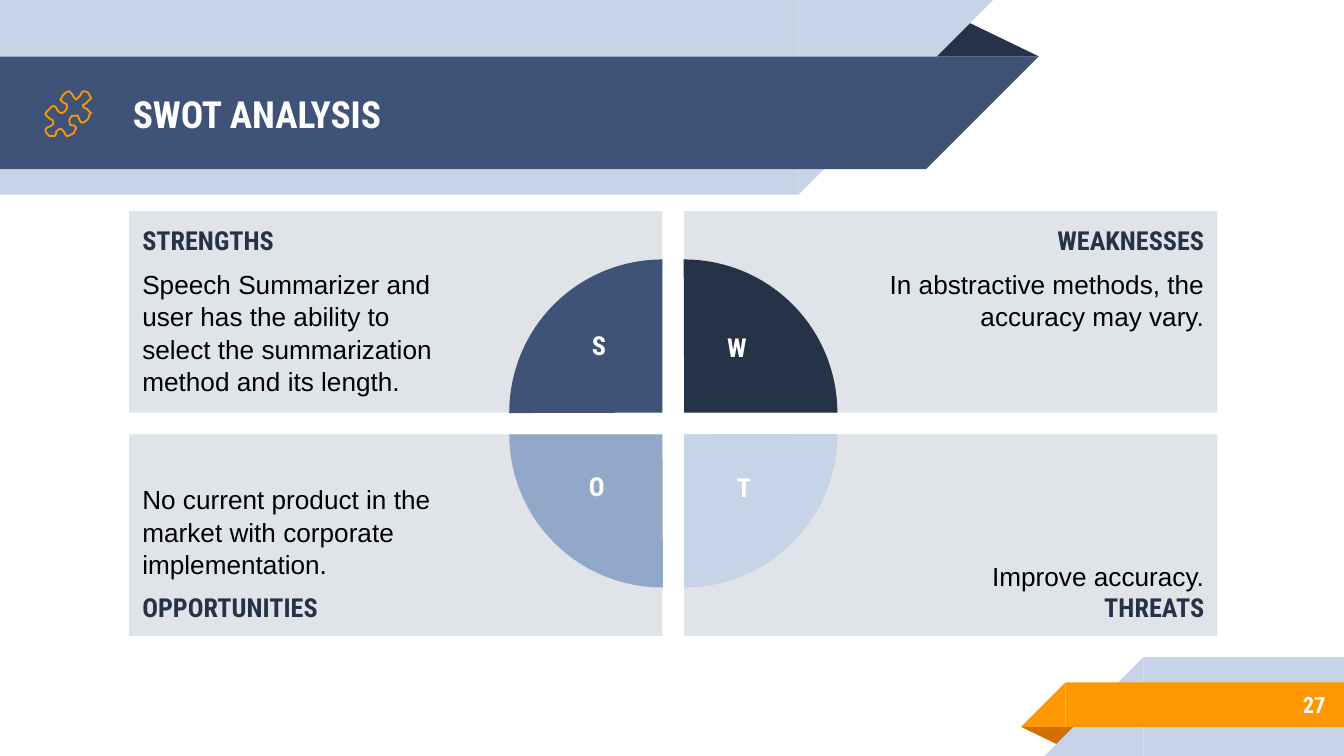
import pptx
import pptx.dml.color
import pptx.enum.shapes
import pptx.enum.text
import pptx.util

Cm = pptx.util.Cm
Pt = pptx.util.Pt
RGBColor = pptx.dml.color.RGBColor
Kind = pptx.enum.shapes.MSO_SHAPE
Align = pptx.enum.text.PP_ALIGN
Anchor = pptx.enum.text.MSO_ANCHOR

WHITE = RGBColor(0xFF, 0xFF, 0xFF)
BLACK = RGBColor(0x00, 0x00, 0x00)
NAVY = RGBColor(0x26, 0x32, 0x48)
BLUE = RGBColor(0x3F, 0x53, 0x78)
STEEL = RGBColor(0x92, 0xA8, 0xC8)
PALE = RGBColor(0xC7, 0xD3, 0xE6)
GREY = RGBColor(0xE0, 0xE4, 0xE9)
ORANGE = RGBColor(0xFF, 0x98, 0x00)
RUST = RGBColor(0xD2, 0x6F, 0x00)

HEAD = "Roboto Condensed"
BODY = "Arial"
PAD = 0.25

PUZZLE = [
    (30, 9), (32, 7), (34, 5), (33, 3), (32, 1), (30, 0), (28, 0), (27, 1),
    (26, 3), (25, 4), (24, 5), (23, 6), (22, 5), (21, 4), (20, 2), (19, 1),
    (18, 0), (17, 0), (15, 1), (13, 3), (12, 5), (11, 6), (12, 7), (13, 8),
    (15, 9), (16, 10), (16, 12), (15, 14), (14, 15), (12, 16), (10, 15),
    (9, 14), (8, 12), (7, 11), (5, 11), (3, 13), (1, 15), (0, 17), (1, 18),
    (3, 20), (5, 21), (6, 23), (5, 25), (3, 26), (1, 27), (0, 29), (1, 31),
    (2, 32), (3, 33), (5, 33), (7, 33), (8, 31), (8, 30), (10, 28), (12, 28),
    (13, 29), (14, 30), (15, 32), (16, 33), (17, 33), (19, 32), (21, 31),
    (22, 29), (23, 27), (22, 26), (21, 25), (19, 25), (18, 23), (18, 21),
    (19, 19), (20, 18), (22, 18), (24, 18), (25, 20), (26, 22), (27, 23),
    (28, 23), (30, 22), (32, 20), (33, 17), (34, 16), (33, 15), (31, 13),
    (29, 12), (28, 10),
]


def add_form(page, kind, box, tint, turn=0, flip=False):
    form = page.shapes.add_shape(kind, *map(Cm, box))
    form.shadow.inherit = False
    form.fill.solid()
    form.fill.fore_color.rgb = tint
    form.line.fill.background()
    form.rotation = turn
    if flip:
        form.element.spPr.xfrm.set("flipH", "1")
    return form


def set_frame(form, pads, anchor):
    frame = form.text_frame
    frame.word_wrap = True
    frame.margin_left, frame.margin_top, frame.margin_right, frame.margin_bottom = map(Cm, pads)
    frame.vertical_anchor = anchor
    return frame


def set_text(para, text, size, tint, align, face=HEAD, bold=True):
    para.add_run().text = text
    para.alignment = align
    para.font.name = face
    para.font.size = Pt(size)
    para.font.bold = bold
    para.font.color.rgb = tint


def add_label(page, box, text, size, align, pads=(PAD,) * 4, anchor=Anchor.MIDDLE):
    label = page.shapes.add_textbox(*map(Cm, box))
    set_text(set_frame(label, pads, anchor).paragraphs[0], text, size, WHITE, align)


def add_band(page, box, tint, lower=False):
    x, y, w, h = box
    add_form(page, Kind.RECTANGLE, (x + h if lower else x, y, w - h, h), tint)
    tip = (x if lower else x + w - h, y, h, h)
    add_form(page, Kind.RIGHT_TRIANGLE, tip, tint, 0 if lower else 180, True)


def add_fold(page, box, tint, turn=0):
    fold = add_form(page, Kind.ISOSCELES_TRIANGLE, box, tint, turn)
    fold.adjustments[0] = 0.32


def add_icon(page, box):
    x, y, w, h = box
    steps = 4
    curve = []
    for i, b in enumerate(PUZZLE):
        a, c, d = PUZZLE[i - 1], PUZZLE[(i + 1) % len(PUZZLE)], PUZZLE[(i + 2) % len(PUZZLE)]
        for t in (n / steps for n in range(steps)):
            px, py = (
                (2 * q + (r - p) * t + (2 * p - 5 * q + 4 * r - s) * t**2
                 + (3 * q - p - 3 * r + s) * t**3) / 2
                for p, q, r, s in zip(a, b, c, d)
            )
            curve.append((Cm(x + px * w / 34), Cm(y + py * h / 33)))
    pen = page.shapes.build_freeform(*curve[0])
    pen.add_line_segments(curve[1:], close=True)
    icon = pen.convert_to_shape()
    icon.shadow.inherit = False
    icon.fill.background()
    icon.line.color.rgb = ORANGE
    icon.line.width = Pt(0.96)


def add_header(page, box):
    x, y, w, h = box
    add_fold(page, (x + 17.48, y + 0.36, 2.16, 0.71), NAVY)
    add_band(page, (x, y, w - 0.86, h), PALE)
    add_band(page, (x, y + 1.07, w, 2.13), BLUE)
    add_label(page, (x + 2.26, y + 1.09, 14.6, 2.13), "SWOT ANALYSIS", 20, Align.LEFT)
    add_icon(page, (x + 0.86, y + 1.73, 0.86, 0.84))


def add_footer(page, box):
    x, y, w, h = box
    add_fold(page, (x, y + 1.32, 1.09, 0.36), RUST, 180)
    add_band(page, (x + 0.44, y, w - 0.44, h), PALE, True)
    add_band(page, (x, y + 0.48, w, 0.84), ORANGE, True)
    add_label(page, (x + 1.86, y + 0.46, 4.14, 0.89), "27", 12, Align.RIGHT)


def add_panel(page, box, title, body, right, low, gap):
    panel = add_form(page, Kind.RECTANGLE, box, GREY)
    pads = (3.81, PAD, PAD, PAD) if right else (PAD, PAD, 3.81, PAD)
    frame = set_frame(panel, pads, Anchor.BOTTOM if low else Anchor.TOP)
    first, last = frame.paragraphs[0], frame.add_paragraph()
    head, note = (last, first) if low else (first, last)
    align = Align.RIGHT if right else Align.LEFT
    set_text(head, title, 14, NAVY, align)
    set_text(note, body, 14, BLACK, align, BODY, False)
    note.line_spacing = 1.04
    last.space_before = Pt(gap)


def add_board(page, box):
    x, y, w, h = box
    gap, size = 0.41, 5.79
    wide, high = (w - gap) / 2, (h - gap) / 2
    parts = [
        ("STRENGTHS", "Speech Summarizer and user has the ability to select the "
         "summarization method and its length.", 0, 0, 6, BLUE, 0, (8.88, 2.67)),
        ("WEAKNESSES", "In abstractive methods, the accuracy may vary.",
         1, 0, 6, NAVY, 90, (11.49, 2.7)),
        ("THREATS", "Improve accuracy.", 1, 1, 0, PALE, 180, (11.62, 5.36)),
        ("OPPORTUNITIES", "No current product in the market with corporate "
         "implementation.", 0, 1, 6, STEEL, 270, (8.84, 5.33)),
    ]
    for title, body, col, row, space, *_ in parts:
        cell = (x + col * (wide + gap), y + row * (high + gap), wide, high)
        add_panel(page, cell, title, body, col, row, space)
    for _, _, col, row, _, tint, turn, _ in parts:
        left = x + wide - size / 2 + col * gap
        top = y + high - size / 2 + row * gap
        pie = add_form(page, Kind.PIE, (left, top, size, size), tint, turn)
        pie.adjustments[0] = 107.89
        pie.adjustments[1] = 162
    for title, *_, (mid, top) in parts:
        spot = (x + mid - 0.5, y + top - 0.56, 1, 1.09)
        add_label(page, spot, title[0], 14, Align.CENTER, (0, 0.13, 0, 0.13), Anchor.TOP)


def main():
    deck = pptx.Presentation()
    deck.slide_width, deck.slide_height = Cm(25.4), Cm(14.29)
    page = deck.slides.add_slide(deck.slide_layouts[6])
    add_header(page, (0, 0, 19.63, 3.68))
    add_footer(page, (19.3, 12.42, 6.1, 1.87))
    add_board(page, (2.44, 3.99, 20.57, 8.03))
    deck.save("out.pptx")


if __name__ == "__main__":
    main()
